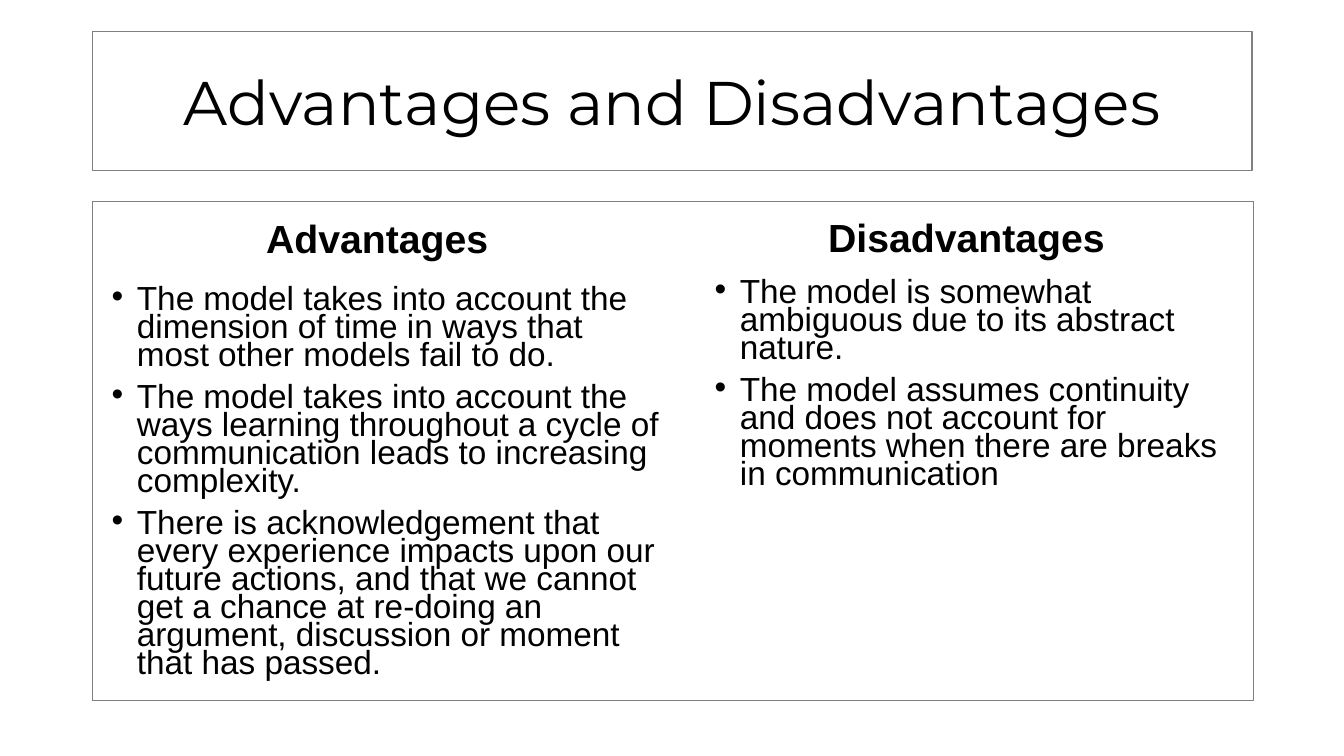
from lxml import etree
from pptx import Presentation
from pptx import util as u
from pptx.dml.color import RGBColor
from pptx.enum import shapes, text
from pptx.oxml.ns import qn

PX = 9144  # 100 px to the inch
COLOURS = {"ink": "000000", "frame": "808080"}

TITLE = "Advantages and Disadvantages"
# heading, heading box, points, points box
COLUMNS = [
    ("Advantages", (92, 175, 564, 90), [
        "The model takes into account the dimension of time in ways that most "
        "other models fail to do.",
        "The model takes into account the ways learning throughout a cycle of "
        "communication leads to increasing complexity.",
        "There is acknowledgement that every experience impacts upon our future "
        "actions, and that we cannot get a chance at re-doing an argument, "
        "discussion or moment that has passed.",
    ], (101, 281, 564, 403)),
    ("Disadvantages", (675, 174, 567, 90), [
        "The model is somewhat ambiguous due to its abstract nature.",
        "The model assumes continuity and does not account for moments when "
        "there are breaks in communication",
    ], (699, 274, 543, 403)),
]


def px(*lengths):
    return [length * PX for length in lengths]


def colour(name):
    return RGBColor.from_string(COLOURS[name])


def add_frame(page, place):
    frame = page.shapes.add_shape(shapes.MSO_SHAPE.RECTANGLE, *px(*place))
    frame.shadow.inherit = False
    frame.fill.background()
    frame.line.color.rgb = colour("frame")
    frame.line.width = u.Pt(1)


def add_box(page, place, anchor):
    box = page.shapes.add_textbox(*px(*place))
    box.text_frame.word_wrap = True
    box.text_frame.vertical_anchor = anchor
    return box


def format_span(span, size, font, bold=False):
    span.font.size = u.Pt(size)
    span.font.name = font
    span.font.bold = bold
    span.font.color.rgb = colour("ink")


def add_heading(page, words, place, anchor, size, font, bold=False):
    box = add_box(page, place, anchor)
    para = box.text_frame.paragraphs[0]
    para.text = words
    para.alignment = text.PP_ALIGN.CENTER
    para.line_spacing = 0.9
    format_span(para.runs[0], size, font, bold)


def add_bullet(para):
    properties = para._p.get_or_add_pPr()
    properties.set("marL", str(25 * PX))
    properties.set("indent", str(-25 * PX))
    etree.SubElement(properties, qn("a:buFont"), typeface="Arial")
    etree.SubElement(properties, qn("a:buChar"), char="•")


def add_points(page, points, place):
    frame = add_box(page, place, text.MSO_ANCHOR.TOP).text_frame
    frame.text = "\n".join(points)
    for index, para in enumerate(frame.paragraphs):
        add_bullet(para)
        para.line_spacing = 0.7
        para.space_before = u.Pt(10 if index else 0)
        format_span(para.runs[0], 23.8, "Arial")


def main():
    deck = Presentation()
    deck.slide_width, deck.slide_height = px(1333, 750)
    page = deck.slides.add_slide(deck.slide_layouts[6])

    for heading, heading_place, points, points_place in COLUMNS:
        add_heading(page, heading, heading_place, text.MSO_ANCHOR.BOTTOM,
                    28, "Arial", bold=True)
        add_points(page, points, points_place)
    add_frame(page, (92, 200, 1151, 495))

    add_heading(page, TITLE, (92, 47, 1150, 116), text.MSO_ANCHOR.MIDDLE,
                44, "Montserrat")
    add_frame(page, (92, 31, 1150, 138))

    deck.save("out.pptx")


if __name__ == "__main__":
    main()
